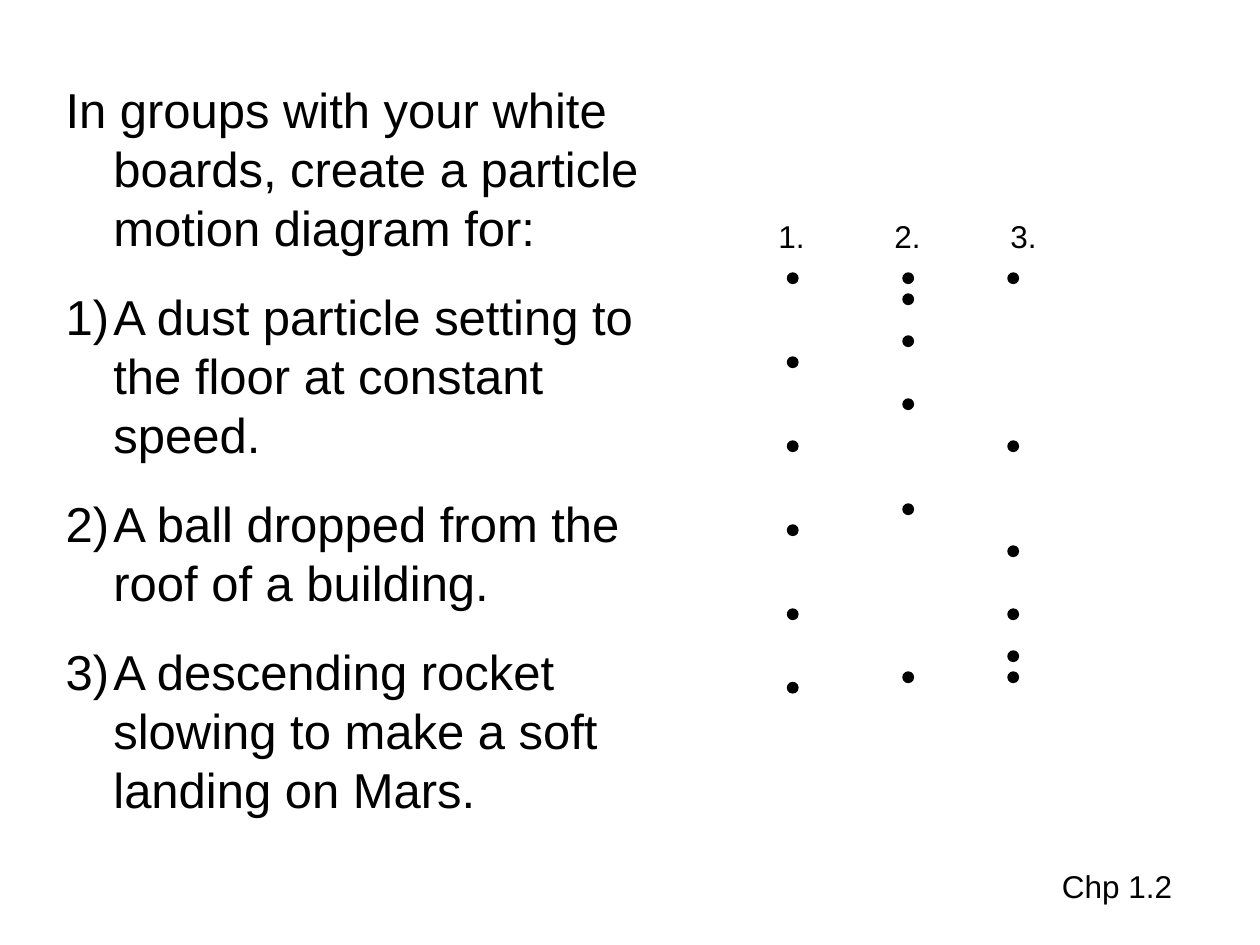
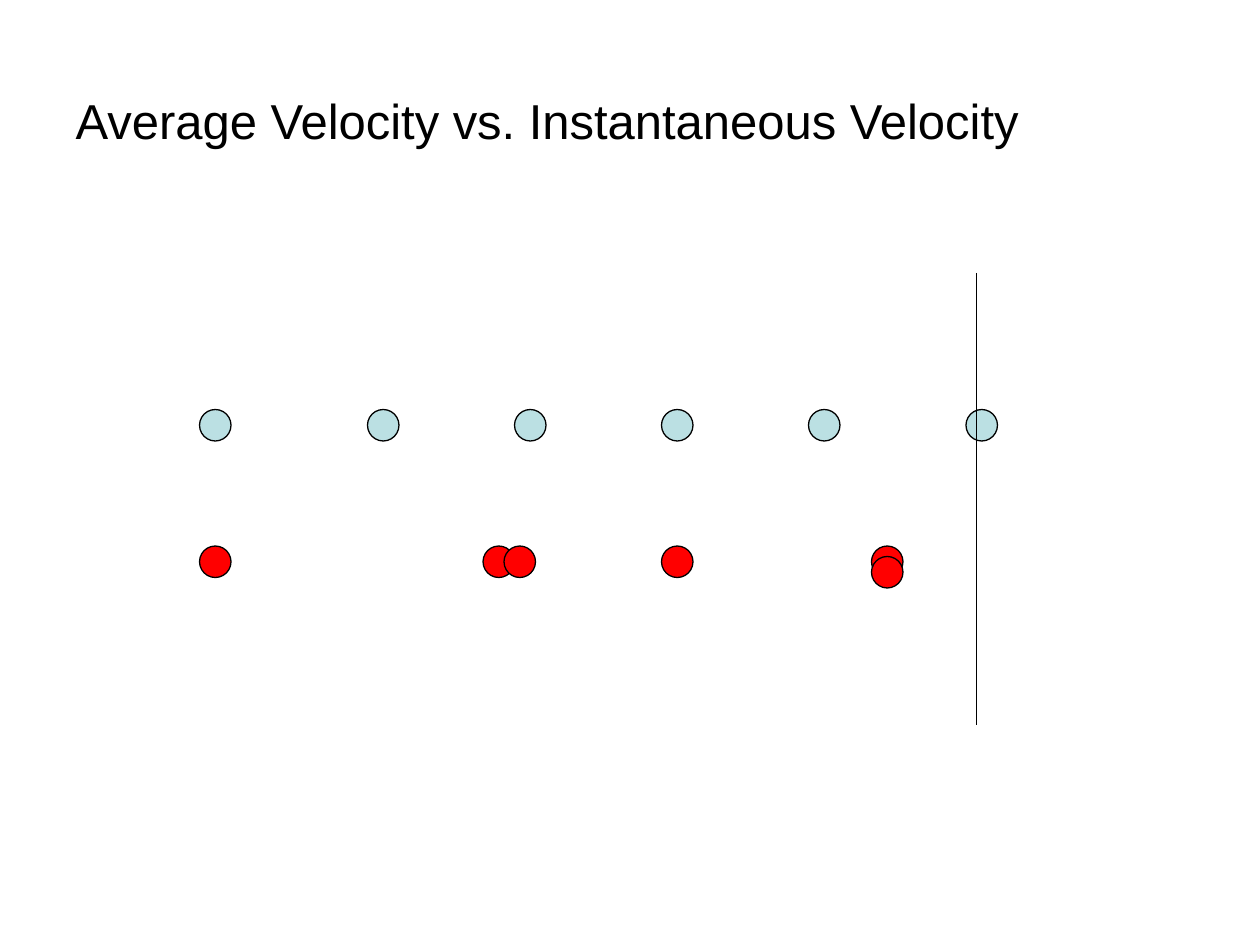
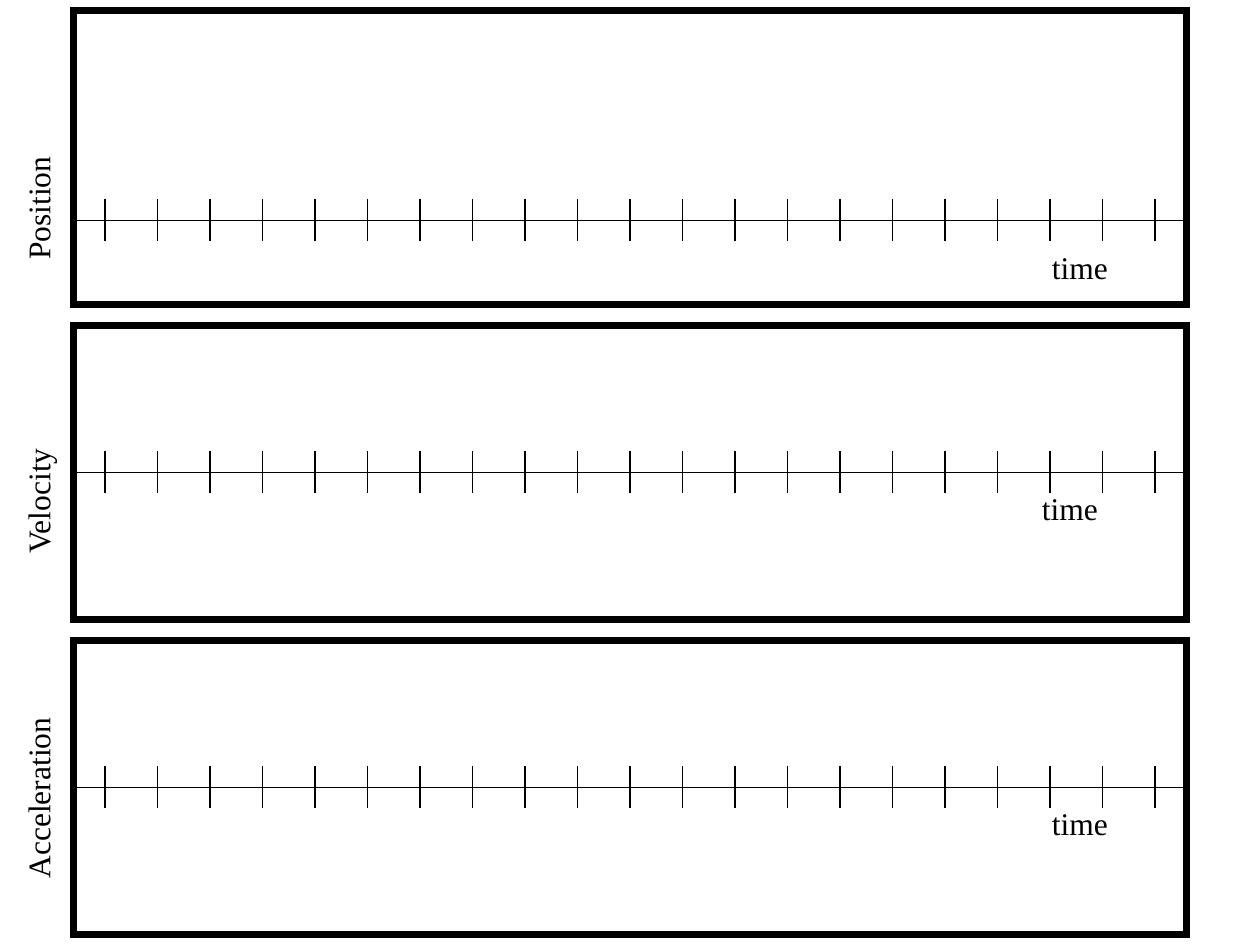
"""Three slides on particle motion diagrams, velocity and motion graphs."""
from pptx import Presentation
from pptx.dml.color import RGBColor
from pptx.enum import shapes, text
from pptx.oxml import xmlchemy as x
from pptx.util import Inches, Pt

COLORS = {"ink": "000000", "steady": "BBE0E3", "uneven": "FF0000"}
SANS, SERIF = "Arial", "Times New Roman"
GRID = 12

INTRO = "In groups with your white boards, create a particle motion diagram for:"
TASKS = [
    "A dust particle setting to the floor at constant speed.",
    "A ball dropped from the roof of a building.",
    "A descending rocket slowing to make a soft landing on Mars.",
]
DIAGRAMS = [
    ("1.", 6.08, 6.25, [2.17, 2.83, 3.5, 4.17, 4.83, 5.42]),
    ("2.", 7, 7.17, [2.17, 2.33, 2.67, 3.17, 4, 5.33]),
    ("3.", 7.92, 8, [2.17, 3.5, 4.33, 4.83, 5.17, 5.33]),
]
FOOTER = "Chp 1.2"

VELOCITY_TITLE = "Average Velocity vs. Instantaneous Velocity"
RUNNERS = [
    ("steady", [(1.58, 3.25), (2.92, 3.25), (4.08, 3.25),
                (5.25, 3.25), (6.42, 3.25), (7.67, 3.25)]),
    ("uneven", [(1.58, 4.33), (3.83, 4.33), (4, 4.33),
                (5.25, 4.33), (6.92, 4.33), (6.92, 4.42)]),
]

GRAPHS = [
    ("Position", 1.17, 1.75, (8.25, 1.92)),
    ("Velocity", 3.5, 3.75, (8.17, 3.83)),
    ("Acceleration", 6.08, 6.25, (8.25, 6.33)),
]
FRAME_LEFT, FRAME_TOP, FRAME_W, FRAME_H, FRAME_STEP = 0.58, 0.08, 8.83, 2.33, 2.5
TICK_LEFT, TICK_SPAN, TICKS, TICK_HALF = 0.83, 8.33, 21, 0.17


def rgb(name):
    return RGBColor.from_string(COLORS[name])


def snap(*lengths):
    return [Inches(round(v * GRID) / GRID) for v in lengths]


def place(sp, left, top, width, height):
    sp.left, sp.top, sp.width, sp.height = map(Inches, (left, top, width, height))


def write(p, words, size, font):
    p.alignment = text.PP_ALIGN.LEFT
    p.line_spacing = 1.0
    p.space_before = Pt(0)
    r = p.add_run()
    r.text = words
    r.font.size, r.font.name = Pt(size), font
    r.font.color.rgb = rgb("ink")


def prepare(sp):
    tf = sp.text_frame
    tf.word_wrap = True
    tf.auto_size = text.MSO_AUTO_SIZE.NONE
    tf.vertical_anchor = text.MSO_ANCHOR.TOP
    return tf


def label(parent, words, left, top, width, font=SANS, rotation=0):
    sp = parent.add_textbox(*map(Inches, (left, top, width, 0.4)))
    sp.rotation = rotation
    write(prepare(sp).paragraphs[0], words, 18, font)


def outlined(parent, kind, box, fill=None, weight=0.75):
    sp = parent.add_shape(kind, *snap(*box))
    sp.shadow.inherit = False
    if fill:
        sp.fill.solid()
        sp.fill.fore_color.rgb = rgb(fill)
    else:
        sp.fill.background()
    sp.line.color.rgb = rgb("ink")
    sp.line.width = Pt(weight)
    miter = x.OxmlElement("a:miter")
    miter.set("lim", "800000")
    sp.line._get_or_add_ln().append(miter)
    return sp


def dot(parent, left, top, size, fill):
    outlined(parent, shapes.MSO_SHAPE.OVAL, (left, top, size, size), fill)


def line(s, x1, y1, x2, y2):
    c = s.shapes.add_connector(shapes.MSO_CONNECTOR.STRAIGHT,
                               *snap(x1, y1, x2, y2))
    c.line.color.rgb = rgb("ink")
    c.line.width = Pt(0.75)
    c._element.spPr.append(x.OxmlElement("a:effectLst"))
    return c


def indent(p, numbered):
    pPr = p._p.get_or_add_pPr()
    pPr.set("marL", str(Inches(0.38)))
    pPr.set("indent", str(-Inches(0.38)))
    bullet = x.OxmlElement("a:buAutoNum" if numbered else "a:buNone")
    if numbered:
        bullet.set("type", "arabicParenR")
    pPr.append(bullet)


def diagram_slide(prs):
    s = prs.slides.add_slide(prs.slide_layouts[1])
    title, body = s.placeholders
    title._element.getparent().remove(title._element)
    place(body, 0.42, 0.58, 5, 5.97)
    tf = prepare(body)
    for i, words in enumerate([INTRO] + TASKS):
        p = tf.add_paragraph() if i else tf.paragraphs[0]
        indent(p, numbered=i > 0)
        write(p, words, 28, SANS)
        if i:
            p.space_before = Pt(17.5)
    for number, label_left, dot_left, tops in DIAGRAMS:
        group = s.shapes.add_group_shape().shapes
        for top in tops:
            dot(group, dot_left, top, 0.08, "ink")
        label(group, number, label_left, 1.67, 0.58)
    label(s.shapes, FOOTER, 8.33, 6.83, 1.67)


def velocity_slide(prs):
    s = prs.slides.add_slide(prs.slide_layouts[5])
    title = s.shapes.title
    place(title, 0.5, 0.67, 8.83, 0.57)
    write(prepare(title).paragraphs[0], VELOCITY_TITLE, 28, SANS)
    for color, spots in RUNNERS:
        for left, top in spots:
            dot(s.shapes, left, top, 0.25, color)
    line(s, 7.75, 2.17, 7.75, 5.75)


def graph_slide(prs):
    s = prs.slides.add_slide(prs.slide_layouts[6])
    for i, (quantity, label_top, axis, time_at) in enumerate(GRAPHS):
        top = FRAME_TOP + i * FRAME_STEP
        frame = outlined(s.shapes, shapes.MSO_SHAPE.RECTANGLE,
                         (FRAME_LEFT, top, FRAME_W, FRAME_H), weight=4.5)
        c = line(s, FRAME_LEFT, axis, FRAME_LEFT + FRAME_W, axis)
        if abs(top + FRAME_H / 2 - axis) < 0.02:
            c.begin_connect(frame, 1)
            c.end_connect(frame, 3)
        for n in range(TICKS):
            left = TICK_LEFT + n * TICK_SPAN / (TICKS - 1)
            line(s, left, axis - TICK_HALF, left, axis + TICK_HALF)
        label(s.shapes, quantity, -0.49, label_top, 1.58, SERIF, 270)
        label(s.shapes, "time", *time_at, 0.92, SERIF)


def main():
    prs = Presentation()
    prs.slide_width, prs.slide_height = Inches(10), Inches(7.5)
    diagram_slide(prs)
    velocity_slide(prs)
    graph_slide(prs)
    prs.save("out.pptx")


if __name__ == "__main__":
    main()
